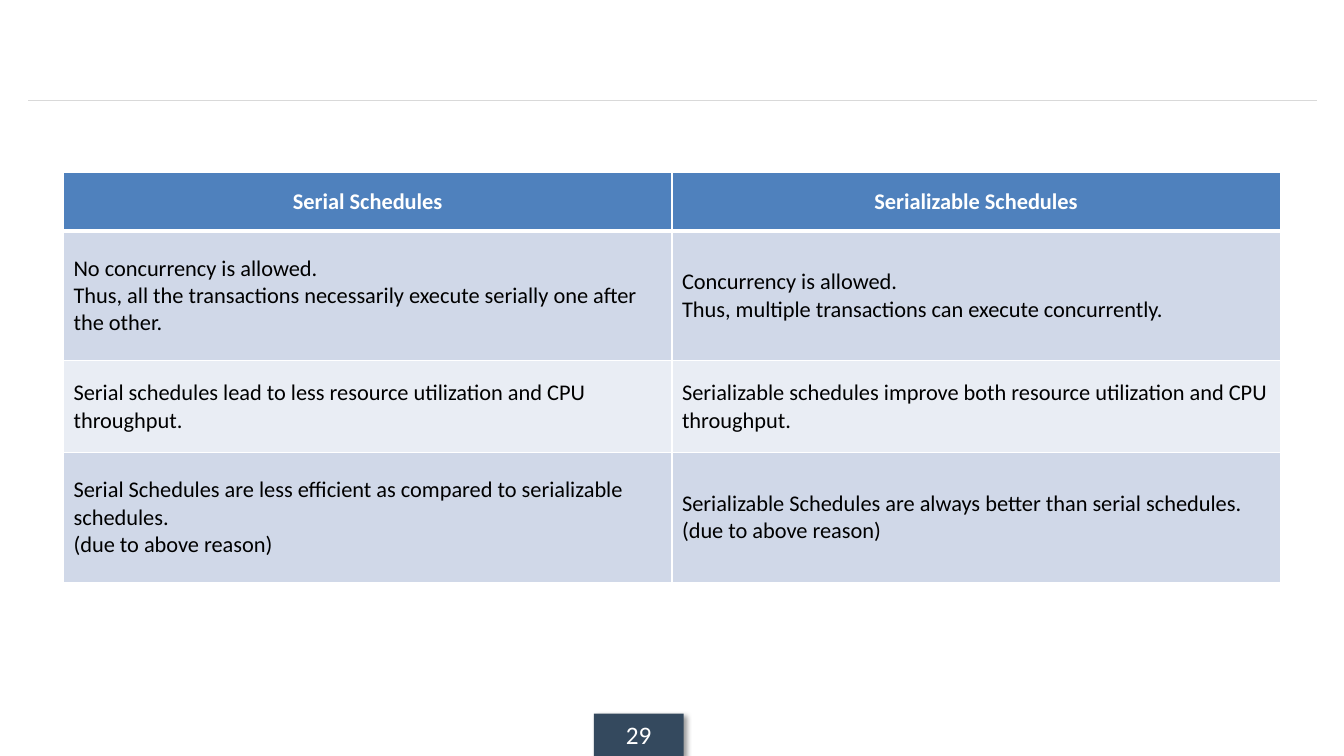
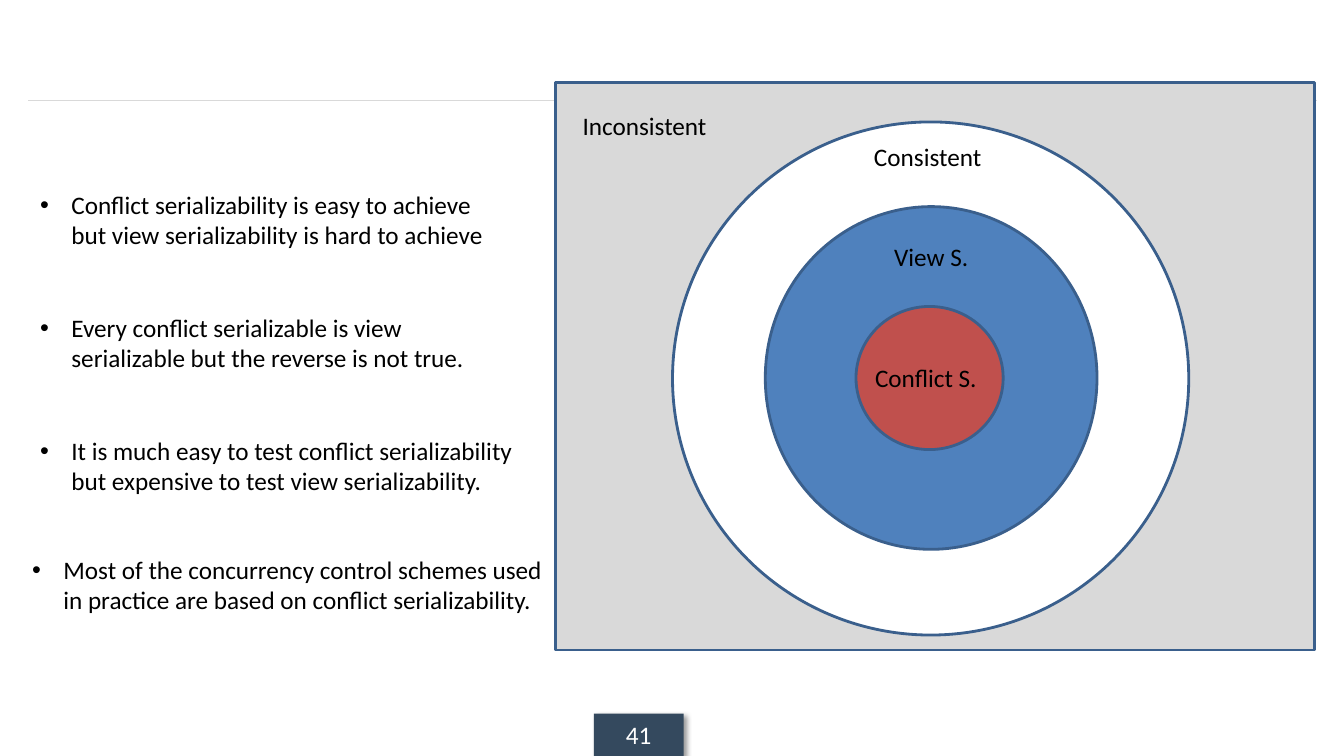
from lxml.etree import SubElement
from pptx import Presentation
from pptx.dml.color import RGBColor
from pptx.enum.shapes import MSO_CONNECTOR, MSO_SHAPE
from pptx.enum.text import MSO_ANCHOR, PP_ALIGN
from pptx.oxml import parse_xml
from pptx.oxml.ns import nsdecls, qn
from pptx.util import Inches, Pt

FONT = "Calibri"
BLACK = RGBColor(0x00, 0x00, 0x00)
WHITE = RGBColor(0xFF, 0xFF, 0xFF)
GRAY = RGBColor(0xD9, 0xD9, 0xD9)
NAVY = RGBColor(0x34, 0x49, 0x5E)
BLUE = RGBColor(0x4F, 0x81, 0xBD)
OUTLINE = RGBColor(0x3A, 0x5F, 0x8C)
RED = RGBColor(0xC0, 0x50, 0x4D)
BANDS = (RGBColor(0xD0, 0xD8, 0xE8), RGBColor(0xE9, 0xED, 0xF4))

ROWS = [
    ("Serial Schedules", "Serializable Schedules"),
    ("No concurrency is allowed.\nThus, all the transactions necessarily execute serially one after the other.",
     "Concurrency is allowed.\nThus, multiple transactions can execute concurrently."),
    ("Serial schedules lead to less resource utilization and CPU throughput.",
     "Serializable schedules improve both resource utilization and CPU throughput."),
    ("Serial Schedules are less efficient as compared to serializable schedules.\n(due to above reason)",
     "Serializable Schedules are always better than serial schedules.\n(due to above reason)"),
]
ROW_HEIGHTS = (0.58, 1.29, 0.91, 1.29)
TABLE_BOX = (0.63, 1.71, 12.07, sum(ROW_HEIGHTS))

REGIONS = [
    (MSO_SHAPE.RECTANGLE, (5.51, 0.82, 7.53, 5.63), GRAY),
    (MSO_SHAPE.OVAL, (6.67, 1.21, 5.12, 5.09), WHITE),
    (MSO_SHAPE.OVAL, (7.59, 2.05, 3.29, 3.4), BLUE),
    (MSO_SHAPE.OVAL, (8.49, 3.04, 1.46, 1.42), RED),
]
REGION_LABELS = [
    ("Inconsistent", (5.68, 1.05, 1.5, 0.4)),
    ("Consistent", (8.57, 1.35, 1.34, 0.4)),
    ("View S.", (8.77, 2.34, 0.95, 0.4)),
    ("Conflict S.", (8.58, 3.55, 1.22, 0.4)),
]
POINTS = [
    ("Conflict serializability is easy to achieve but view serializability is hard to achieve",
     (0.3, 1.83, 4.83, 0.71)),
    ("Every conflict serializable is view serializable but the reverse is not true.",
     (0.3, 3.05, 4.83, 0.71)),
    ("It is much easy to test conflict serializability but expensive to test view serializability.",
     (0.3, 4.27, 4.99, 0.71)),
    ("Most of the concurrency control schemes used in practice are based on conflict serializability.",
     (0.22, 5.45, 5.38, 0.71)),
]


def box(values):
    return [Inches(v) for v in values]


def style(p, size, color=BLACK, bold=False, align=PP_ALIGN.LEFT):
    p.alignment = align
    p.font.name = FONT
    p.font.size = Pt(size)
    p.font.bold = bold
    p.font.color.rgb = color


def add_region(slide, kind, place, fill, line=None):
    sp = slide.shapes.add_shape(kind, *box(place))
    sp.shadow.inherit = False
    sp.fill.solid()
    sp.fill.fore_color.rgb = fill
    if line is None:
        sp.line.fill.background()
    else:
        sp.line.color.rgb = line
        sp.line.width = Pt(2)
    return sp


def add_text(slide, text, place, bullet=False):
    tf = slide.shapes.add_textbox(*box(place)).text_frame
    tf.word_wrap = True
    p = tf.paragraphs[0]
    p.text = text
    style(p, 18)
    if bullet:
        pPr = p._p.get_or_add_pPr()
        pPr.set("marL", str(Inches(0.31)))
        pPr.set("indent", str(Inches(-0.31)))
        pPr.insert(0, parse_xml(f'<a:buFont {nsdecls("a")} typeface="Arial"/>'))
        pPr.insert(1, parse_xml(f'<a:buChar {nsdecls("a")} char="•"/>'))


def add_slide(prs, number):
    slide = prs.slides.add_slide(prs.slide_layouts[6])
    rule = slide.shapes.add_connector(MSO_CONNECTOR.STRAIGHT, *box((0.28, 1, 13.06, 1)))
    rule.line.color.rgb = GRAY
    rule.line.width = Pt(0.75)
    SubElement(rule._element.spPr, qn("a:effectLst"))

    tab = add_region(slide, MSO_SHAPE.RECTANGLE, (5.89, 7.08, 0.89, 0.42), NAVY)
    effects = tab._element.spPr.find(qn("a:effectLst"))
    effects.append(parse_xml(
        f'<a:outerShdw {nsdecls("a")} blurRad="{Pt(4)}" dist="{Pt(3)}" dir="2700000" algn="tl" rotWithShape="0">'
        '<a:srgbClr val="000000"><a:alpha val="40000"/></a:srgbClr></a:outerShdw>'))
    tf = tab.text_frame
    tf.vertical_anchor = MSO_ANCHOR.MIDDLE
    tf.text = str(number)
    style(tf.paragraphs[0], 18, WHITE, align=PP_ALIGN.CENTER)
    return slide


def set_borders(cell, top, bottom):
    tcPr = cell._tc.get_or_add_tcPr()
    for side, width in (("L", 1), ("R", 1), ("T", top), ("B", bottom)):
        tcPr.append(parse_xml(
            f'<a:ln{side} {nsdecls("a")} w="{Pt(width)}"><a:solidFill><a:srgbClr val="{WHITE}"/>'
            f'</a:solidFill></a:ln{side}>'))


def add_schedule_table(slide):
    table = slide.shapes.add_table(len(ROWS), len(ROWS[0]), *box(TABLE_BOX)).table
    for i, (texts, height) in enumerate(zip(ROWS, ROW_HEIGHTS)):
        table.rows[i].height = Inches(height)
        header = i == 0
        for j, text in enumerate(texts):
            cell = table.cell(i, j)
            set_borders(cell, 3 if i == 1 else 1, 3 if header else 1)
            cell.fill.solid()
            cell.fill.fore_color.rgb = BLUE if header else BANDS[(i - 1) % 2]
            cell.vertical_anchor = MSO_ANCHOR.MIDDLE
            cell.text = text
            for p in cell.text_frame.paragraphs:
                if header:
                    style(p, 16, WHITE, True, PP_ALIGN.CENTER)
                else:
                    style(p, 16)


def add_serializability_diagram(slide):
    for kind, place, fill in REGIONS:
        add_region(slide, kind, place, fill, OUTLINE)
    for text, place in REGION_LABELS:
        add_text(slide, text, place)
    for text, place in POINTS:
        add_text(slide, text, place, bullet=True)


def main():
    prs = Presentation()
    prs.slide_width, prs.slide_height = Inches(13.33), Inches(7.5)
    add_schedule_table(add_slide(prs, 29))
    add_serializability_diagram(add_slide(prs, 41))
    prs.save("out.pptx")


if __name__ == "__main__":
    main()
